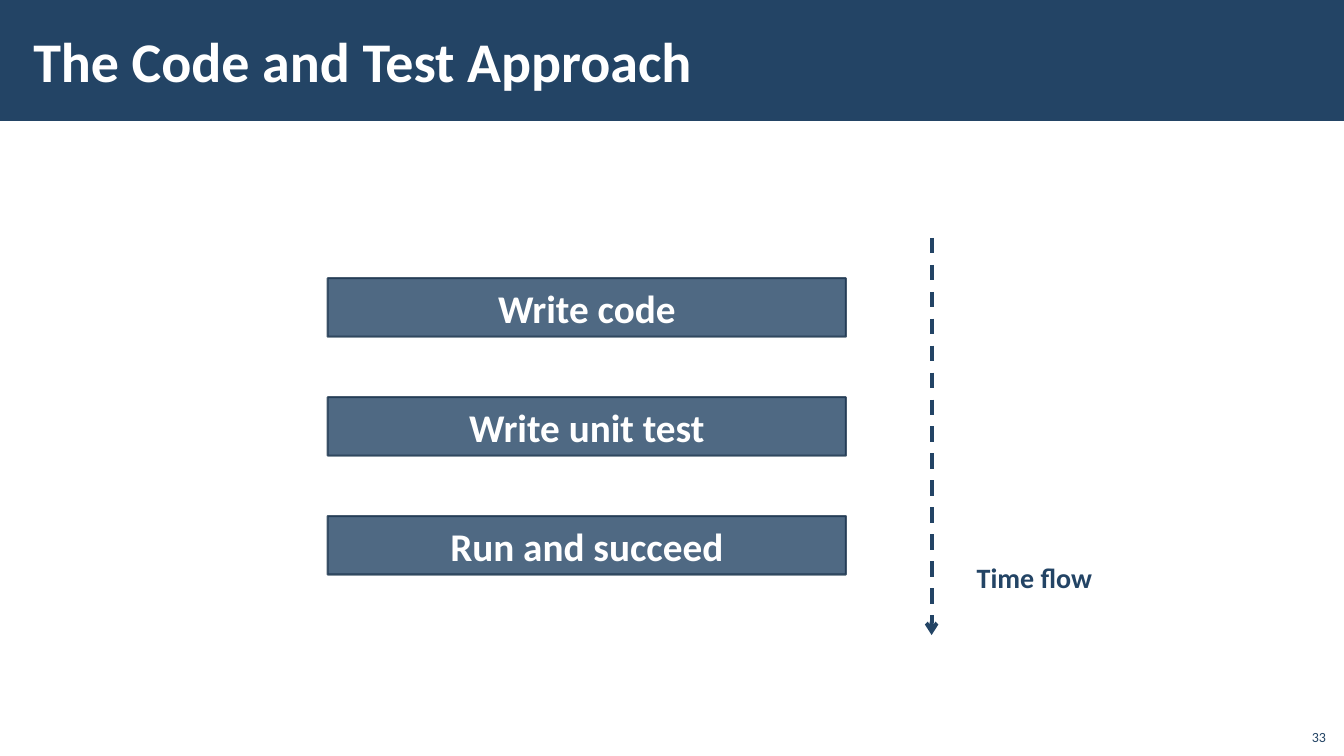
"""Builds the slide on the code and test approach."""
from lxml import etree
from pptx import Presentation
from pptx.dml.color import RGBColor
from pptx.enum import dml, shapes, text
from pptx.oxml import ns
from pptx.util import Inches, Pt

TITLE = "The Code and Test Approach"
STEPS = ["Write code", "Write unit test", "Run and succeed"]
FLOW = "Time flow"
PAGE = "33"
NAVY, EDGE, WHITE = "234465", "1A334C", "FFFFFF"
LEFT, TOP, WIDE, HIGH, PITCH = 3.25, 2.76, 5.14, 0.58, 1.18
AXIS = (9.24, 2.36, 9.24, 6.3)

MID, LOW = text.MSO_ANCHOR.MIDDLE, text.MSO_ANCHOR.BOTTOM
ALIGN = text.PP_ALIGN


def color(code):
    return RGBColor.from_string(code)


def inches(*sizes):
    return [Inches(size) for size in sizes]


def write(shape, words, size, code, bold=True, align=ALIGN.CENTER, anchor=MID):
    frame = shape.text_frame
    frame.word_wrap = True
    frame.auto_size = text.MSO_AUTO_SIZE.NONE
    frame.vertical_anchor = anchor
    para = frame.paragraphs[0]
    para.alignment = align
    run = para.add_run()
    run.text = words
    font = run.font
    font.name, font.size, font.bold = "Calibri", Pt(size), bold
    font.color.rgb = color(code)


def box(slide, place, fill):
    shape = slide.shapes.add_shape(shapes.MSO_SHAPE.RECTANGLE, *inches(*place))
    shape.shadow.inherit = False
    shape.fill.solid()
    shape.fill.fore_color.rgb = color(fill)
    shape.line.fill.background()
    return shape


def label(slide, place, *words, **style):
    write(slide.shapes.add_textbox(*inches(*place)), *words, **style)


def step(slide, row, words):
    shape = box(slide, (LEFT, TOP + row * PITCH, WIDE, HIGH), NAVY)
    shape.line.color.rgb = color(EDGE)
    shape.line.width = Pt(1.5)
    for tone in shape._element.spPr.iter(ns.qn("a:srgbClr")):
        etree.SubElement(tone, ns.qn("a:alpha"), val="80000")
    write(shape, words, 28, WHITE)


def arrow(slide):
    link = slide.shapes.add_connector(shapes.MSO_CONNECTOR.STRAIGHT, *inches(*AXIS))
    line = link.line
    line.color.rgb = color(NAVY)
    line.width = Pt(2.75)
    line.dash_style = dml.MSO_LINE.DASH
    props = link._element.spPr
    etree.SubElement(props.find(ns.qn("a:ln")), ns.qn("a:tailEnd"), type="arrow")
    etree.SubElement(props, ns.qn("a:effectLst"))


def main():
    deck = Presentation()
    deck.slide_width, deck.slide_height = inches(13.33, 7.5)
    slide = deck.slides.add_slide(deck.slide_layouts[5])
    band = box(slide, (0, 0, 13.33, 1.2), NAVY)
    title = slide.shapes.title
    title._element.addprevious(band._element)
    title.left, title.top, title.width, title.height = inches(0.21, 0.11, 10.63, 0.97)
    frame = title.text_frame
    frame.margin_left = frame.margin_right = Inches(0.12)
    frame.margin_top = frame.margin_bottom = Inches(0.04)
    write(title, TITLE, 40, WHITE, align=ALIGN.LEFT)
    for row, words in enumerate(STEPS):
        step(slide, row, words)
    arrow(slide)
    label(slide, (9.39, 5.51, 1.74, 0.44), FLOW, 20, NAVY, anchor=text.MSO_ANCHOR.TOP)
    label(slide, (12.85, 7.12, 0.4, 0.32), PAGE, 10, NAVY, bold=False,
          align=ALIGN.RIGHT, anchor=LOW)
    deck.save("out.pptx")


if __name__ == "__main__":
    main()
